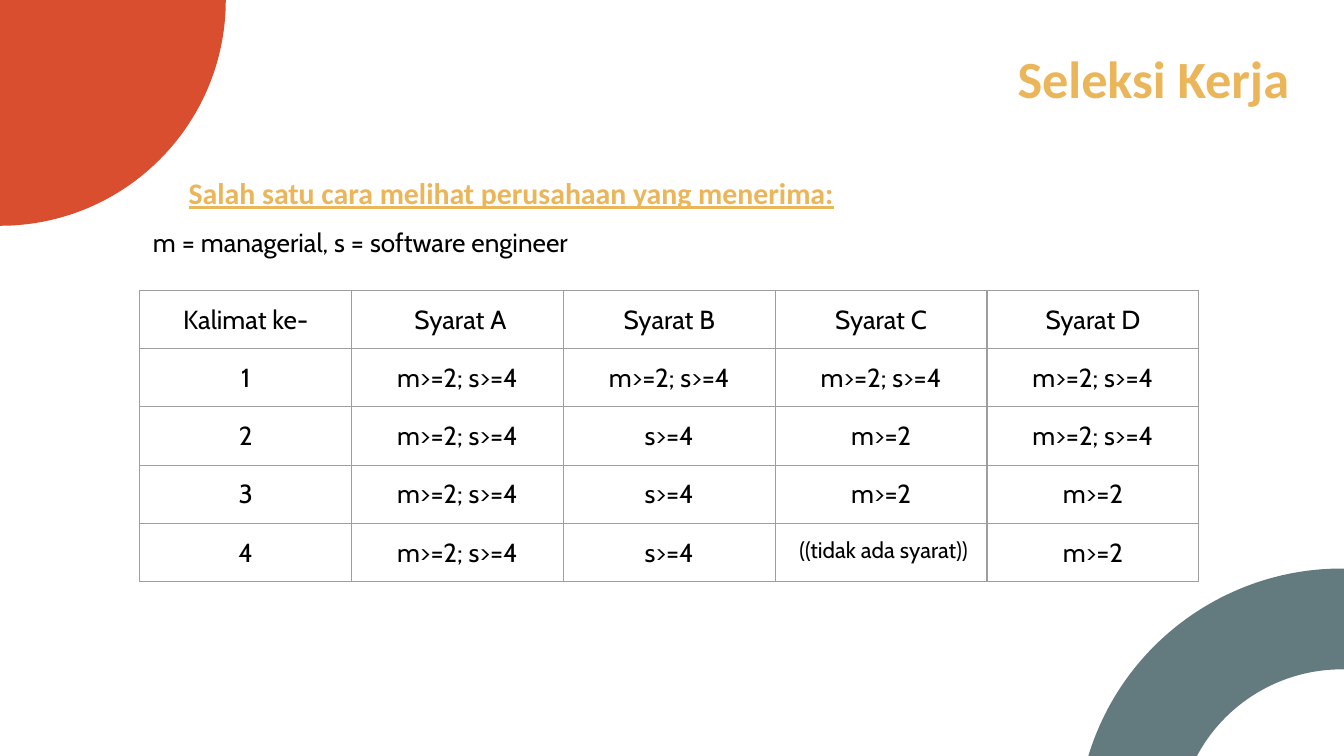
import pptx
import pptx.util
import pptx.dml.color
import pptx.enum.text
import pptx.oxml.ns
import lxml.etree

Inches = pptx.util.Inches
Pt = pptx.util.Pt
ALIGN = pptx.enum.text.PP_ALIGN
ANCHOR = pptx.enum.text.MSO_ANCHOR
COLORS = {"red": "D84E2E", "teal": "637B7F", "gold": "EBB55A",
          "ink": "000000", "grid": "9E9E9E"}
BEND = 0.5523  # handle length of a quarter circle, per unit of radius


def color(name):
    return pptx.dml.color.RGBColor.from_string(COLORS[name])


def tag(name):
    return pptx.oxml.ns.qn("a:" + name)


class Page:
    head = "Calibri"
    body = "Cabin"
    inset = Inches(0.1)

    def __init__(self, deck):
        self.slide = deck.slides.add_slide(deck.slide_layouts[6])

    def style(self, para, size, font, tint, align, bold=False, line=False):
        para.alignment = align
        para.font.size = Pt(size)
        para.font.name = font
        para.font.bold = bold
        para.font.underline = line
        para.font.color.rgb = color(tint)

    def sector(self, x, y, outer, inner, start, end, tint, turn=0):
        """A quarter ring from axis start to axis end; inner 0 makes a pie."""
        def arc(radius):
            mix = [(1, 0), (1, BEND), (BEND, 1), (0, 1)]
            return [tuple(Inches(mid + radius * (a * s + b * e))
                          for mid, s, e in zip((x, y), start, end))
                    for a, b in mix]

        points = arc(outer)
        points += arc(inner)[::-1] if inner else [(Inches(x), Inches(y))]
        build = self.slide.shapes.build_freeform(*points[0], scale=1.0)
        build.add_line_segments(points[1:], close=True)
        shape = build.convert_to_shape()

        # Turn each arc's three segments into one curve
        lines = list(shape._element.iter(tag("lnTo")))
        for group in (lines[0:3], lines[4:7]):
            if group:
                curve = lxml.etree.Element(tag("cubicBezTo"))
                group[0].addprevious(curve)
                for step in group:
                    curve.append(step[0])
                    step.getparent().remove(step)

        shape.rotation = turn
        shape.shadow.inherit = False
        shape.fill.solid()
        shape.fill.fore_color.rgb = color(tint)
        shape.line.fill.background()

    def text(self, words, x, y, w, h, anchor, *look, **more):
        box = self.slide.shapes.add_textbox(Inches(x), Inches(y), Inches(w), Inches(h))
        frame = box.text_frame
        frame.word_wrap = True
        frame.vertical_anchor = anchor
        frame.margin_left = frame.margin_right = self.inset
        frame.margin_top = frame.margin_bottom = self.inset
        frame.text = words
        self.style(frame.paragraphs[0], *look, **more)

    def border(self, cell):
        props = cell._tc.get_or_add_tcPr()
        for side in ("lnL", "lnR", "lnT", "lnB"):
            line = lxml.etree.SubElement(props, tag(side), w=str(Pt(0.75)))
            fill = lxml.etree.SubElement(line, tag("solidFill"))
            lxml.etree.SubElement(fill, tag("srgbClr"), val=COLORS["grid"])

    def table(self, rows, x, y, wide, high, small):
        count = len(rows[0])
        table = self.slide.shapes.add_table(
            len(rows), count, Inches(x), Inches(y),
            Inches(wide), Inches(high * len(rows))).table
        table.first_row = table.horz_banding = False
        for col in table.columns:
            col.width = Inches(wide / count)
        for r, row in enumerate(rows):
            table.rows[r].height = Inches(high)
            for c, words in enumerate(row):
                cell = table.cell(r, c)
                self.border(cell)
                cell.fill.background()
                cell.margin_left = cell.margin_right = self.inset
                cell.margin_top = cell.margin_bottom = self.inset
                cell.text = words
                size = 12 if words == small else 14
                self.style(cell.text_frame.paragraphs[0], size, self.body,
                           "ink", ALIGN.CENTER)


def main():
    deck = pptx.Presentation()
    deck.slide_width, deck.slide_height = Inches(10), Inches(5.625)
    page = Page(deck)

    # Corner shapes
    page.sector(10.27, 5.98, 1.97, 1.22, (0, -1), (-1, 0), "teal", turn=15)
    page.sector(0, 0, 1.68, 0, (0, 1), (1, 0), "red")

    # Headings
    page.text("Seleksi Kerja", 2.72, 0.17, 6.97, 0.82, ANCHOR.MIDDLE,
              28, page.head, "gold", ALIGN.RIGHT, bold=True)
    page.text("Salah satu cara melihat perusahaan yang menerima:",
              0.51, 1.2, 6.59, 0.47, ANCHOR.TOP,
              16, page.head, "gold", ALIGN.CENTER, bold=True, line=True)
    page.text("m = managerial, s = software engineer",
              1.04, 1.58, 6.43, 0.44, ANCHOR.MIDDLE,
              14, page.body, "ink", ALIGN.LEFT)

    # Table of terms
    both, m, s = "m>=2; s>=4", "m>=2", "s>=4"
    none = " ((tidak ada syarat))"
    rows = [
        ["Kalimat ke-", " Syarat A", "Syarat B", "Syarat C", "Syarat D"],
        ["1", both, both, both, both],
        ["2", both, s, m, both],
        ["3", both, s, m, m],
        ["4", both, s, none, m],
    ]
    page.table(rows, 1.04, 2.16, 7.88, 0.42, none)

    deck.save("out.pptx")


if __name__ == "__main__":
    main()
